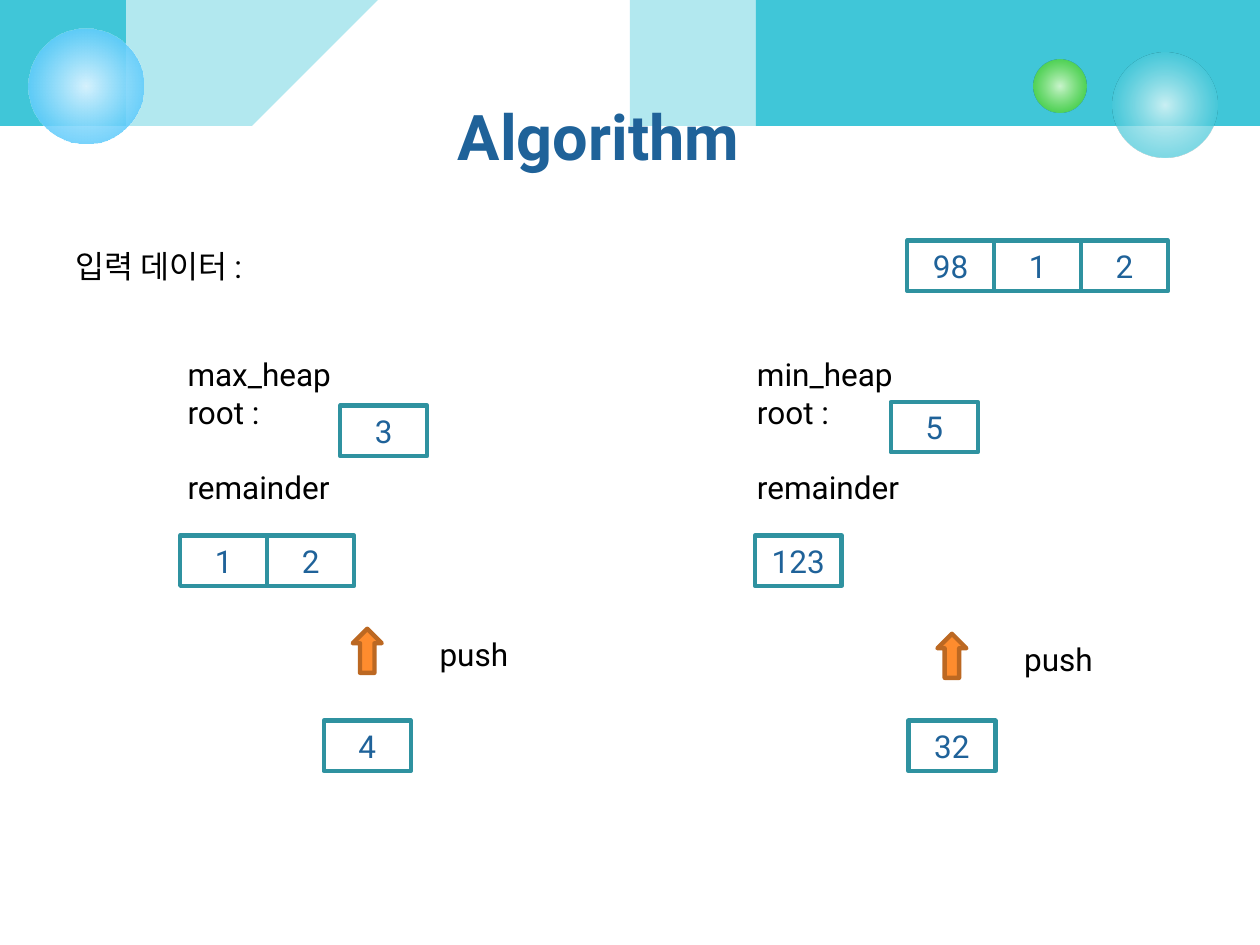
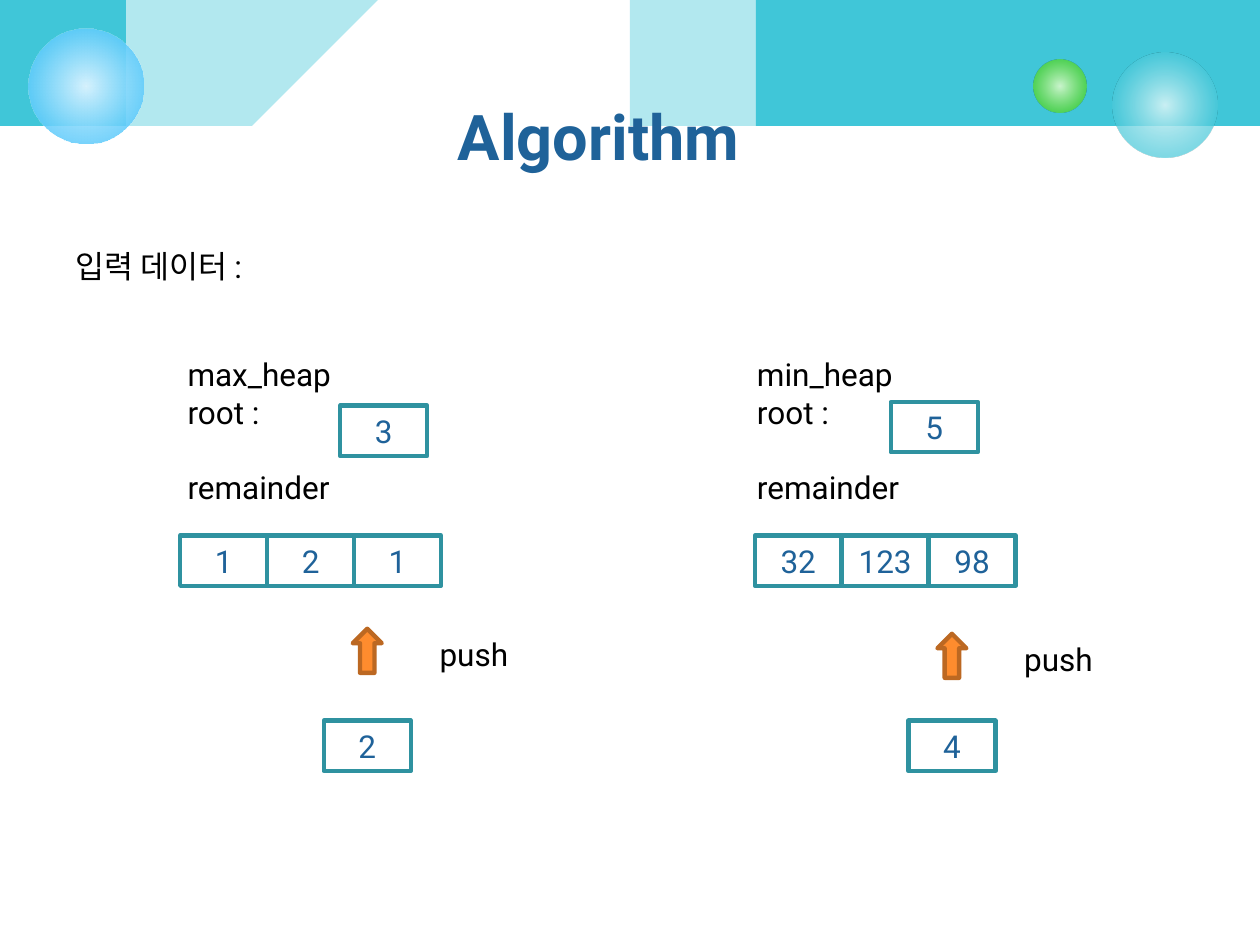
from pptx import Presentation
from pptx.dml.color import RGBColor as RGB
from pptx.enum.shapes import MSO_SHAPE as SHAPE
from pptx.enum.text import MSO_ANCHOR as ANCHOR, MSO_AUTO_SIZE as FIT, PP_ALIGN as ALIGN
from pptx.oxml import parse_xml
from pptx.oxml.ns import nsdecls, qn
from pptx.util import Inches, Pt
from lxml import etree

HUES = {
    "wave": "40C6D8", "navy": "1F6299", "teal": "2F92A0", "ink": "000000",
    "arrow": "FE8C2E", "edge": "BC6822",
}
FONT = "Roboto"
CELL_W, CELL_H = 0.69, 0.4

# Each wave: start of its curve, Bezier segments, right end, opacity in percent
WAVES = [
    ((0, 1.19), [((0.33, 1.05), (1.97, 0.31), (3.96, 0.41)),
                 ((5.95, 0.5), (7.62, 1.4), (10, 0.84))], 40),
    ((0, 0.7), [((0.45, 0.55), (1.53, 0.33), (3.41, 0.29)),
                ((5.29, 0.25), (8.2, 1.19), (10, 0.5))], 100),
]
# Each bubble: left, top, size, gradient stops (position, colour, opacity)
BUBBLES = [
    (8.83, 0.42, 0.83, [(0, "D9F4F7", 90), (76, "40C6D8", 70)]),
    (8.2, 0.47, 0.42, [(0, "DAFACD", 90), (76, "4CD416", 70)]),
    (0.23, 0.23, 0.91, [(0, "D6F2FE", 100), (100, "33BDFB", 80)]),
]
# Offsets of each heap's parts from the corner of its label
HEAPS = {
    "max_heap": dict(box=(1.39, 2.77, 2.34, 1.31), root=(1.31, 0.45),
                     rest=0.04, push=1.18, rise=2.22),
    "min_heap": dict(box=(5.91, 2.77, 3, 1.31), root=(1.16, 0.42),
                     rest=0.08, push=1.3, rise=2.26),
}
# Each step: waiting input, then root, remainder and pushed value of each heap
STEPS = [
    (["98", "1", "2"], {"max_heap": ("3", ["1", "2"], "4"),
                        "min_heap": ("5", ["123"], "32")}),
    ([], {"max_heap": ("3", ["1", "2", "1"], "2"),
          "min_heap": ("5", ["32", "123", "98"], "4")}),
]


def inch(*nums):
    return [Inches(n) for n in nums]


def style(frame, size, hue, align=ALIGN.LEFT, bold=False):
    for para in frame.paragraphs:
        para.alignment = align
        for run in para.runs:
            font = run.font
            font.name, font.size, font.bold = FONT, Pt(size), bold
            font.color.rgb = RGB.from_string(HUES[hue])


def outline(shape, hue):
    shape.shadow.inherit = False
    shape.line.color.rgb = RGB.from_string(HUES[hue])
    shape.line.width = Pt(2.5)


def label(slide, box, text):
    frame = slide.shapes.add_textbox(*inch(*box)).text_frame
    frame.word_wrap = True
    frame.text = text
    style(frame, 18, "ink")
    return frame


def cells(slide, left, top, vals):
    """Row of adjoining boxes, one for each value."""
    for i, val in enumerate(vals):
        box = inch(left + i * CELL_W, top, CELL_W, CELL_H)
        cell = slide.shapes.add_shape(SHAPE.RECTANGLE, *box)
        cell.fill.background()
        outline(cell, "teal")
        cell.text_frame.text = val
        cell.text_frame.vertical_anchor = ANCHOR.MIDDLE
        style(cell.text_frame, 18, "navy", ALIGN.CENTER)


# Shared backdrop

def curve(start, parts, steps=24):
    """Points along a chain of cubic Bezier segments."""
    for a, b, end in parts:
        for i in range(1, steps + 1):
            t = i / steps
            u = 1 - t
            yield tuple(u**3 * p + 3 * u * u * t * q + 3 * u * t * t * r + t**3 * s
                        for p, q, r, s in zip(start, a, b, end))
        start = end


def wave(slide, start, parts, alpha):
    pen = slide.shapes.build_freeform(0, 0, scale=Inches(1))
    pen.add_line_segments([start, *curve(start, parts), (10, 0)])
    shape = pen.convert_to_shape()
    shape.shadow.inherit = False
    shape.line.fill.background()
    shape.fill.solid()
    shape.fill.fore_color.rgb = RGB.from_string(HUES["wave"])
    tint = shape.element.spPr.find(qn("a:solidFill"))[0]
    etree.SubElement(tint, qn("a:alpha"), val=str(alpha * 1000))
    return shape


def bubble(slide, left, top, size, stops):
    shape = slide.shapes.add_shape(SHAPE.OVAL, *inch(left, top, size, size))
    shape.shadow.inherit = False
    shape.line.fill.background()
    shape.fill.background()
    marks = "".join(
        f'<a:gs pos="{pos * 1000}"><a:srgbClr val="{hue}">'
        f'<a:alpha val="{alpha * 1000}"/></a:srgbClr></a:gs>'
        for pos, hue, alpha in stops)
    grad = parse_xml(
        f'<a:gradFill {nsdecls("a")} rotWithShape="1"><a:gsLst>{marks}</a:gsLst>'
        '<a:path path="circle"><a:fillToRect l="50000" t="50000" r="50000" b="50000"/>'
        '</a:path></a:gradFill>')
    props = shape.element.spPr
    props.replace(props.find(qn("a:noFill")), grad)
    return shape


def backdrop(slide):
    """Draw the waves and bubbles, then hand them to the slide's layout."""
    parts = [wave(slide, *w) for w in WAVES] + [bubble(slide, *b) for b in BUBBLES]
    tree = slide.slide_layout.shapes.element
    for part in parts:
        tree.append(part.element)


# Slide regions

def title(slide, text):
    head = slide.shapes.title
    head.left, head.top, head.width, head.height = inch(0.25, 0.68, 9, 1.25)
    frame = head.text_frame
    frame.text = text
    frame.auto_size = FIT.NONE
    frame.vertical_anchor = ANCHOR.TOP
    frame.margin_top = Inches(0.09)
    style(frame, 36, "navy", ALIGN.CENTER, True)


def queue(slide, left, top, vals):
    label(slide, (left, top, 1.62, 0.4), "입력 데이터 :")
    cells(slide, left + 6.7, top, vals)


def heap(slide, name, root, rest, new):
    plan = HEAPS[name]
    left, top = plan["box"][:2]
    frame = label(slide, plan["box"], f"{name}\nroot :\nremainder")
    frame.paragraphs[2].space_before = Pt(21)
    dx, dy = plan["root"]
    cells(slide, left + dx, top + dy, [root])
    cells(slide, left + plan["rest"], top + 1.48, rest)

    # Pushed value with its arrow and caption
    push, rise = left + plan["push"], top + plan["rise"]
    cells(slide, push, top + 2.95, [new])
    arrow = slide.shapes.add_shape(SHAPE.UP_ARROW, *inch(push + 0.23, rise, 0.23, 0.35))
    arrow.fill.solid()
    arrow.fill.fore_color.rgb = RGB.from_string(HUES["arrow"])
    outline(arrow, "edge")
    label(slide, (push + 0.82, rise, 1.31, 0.4), "push")


def main():
    deck = Presentation()
    deck.slide_width, deck.slide_height = inch(10, 7.5)
    layout = deck.slide_layouts[5]
    for i, (vals, heaps) in enumerate(STEPS):
        slide = deck.slides.add_slide(layout)
        if i == 0:
            backdrop(slide)
        title(slide, "Algorithm")
        queue(slide, 0.5, 1.91, vals)
        for name, state in heaps.items():
            heap(slide, name, *state)
    deck.save("out.pptx")


if __name__ == "__main__":
    main()
